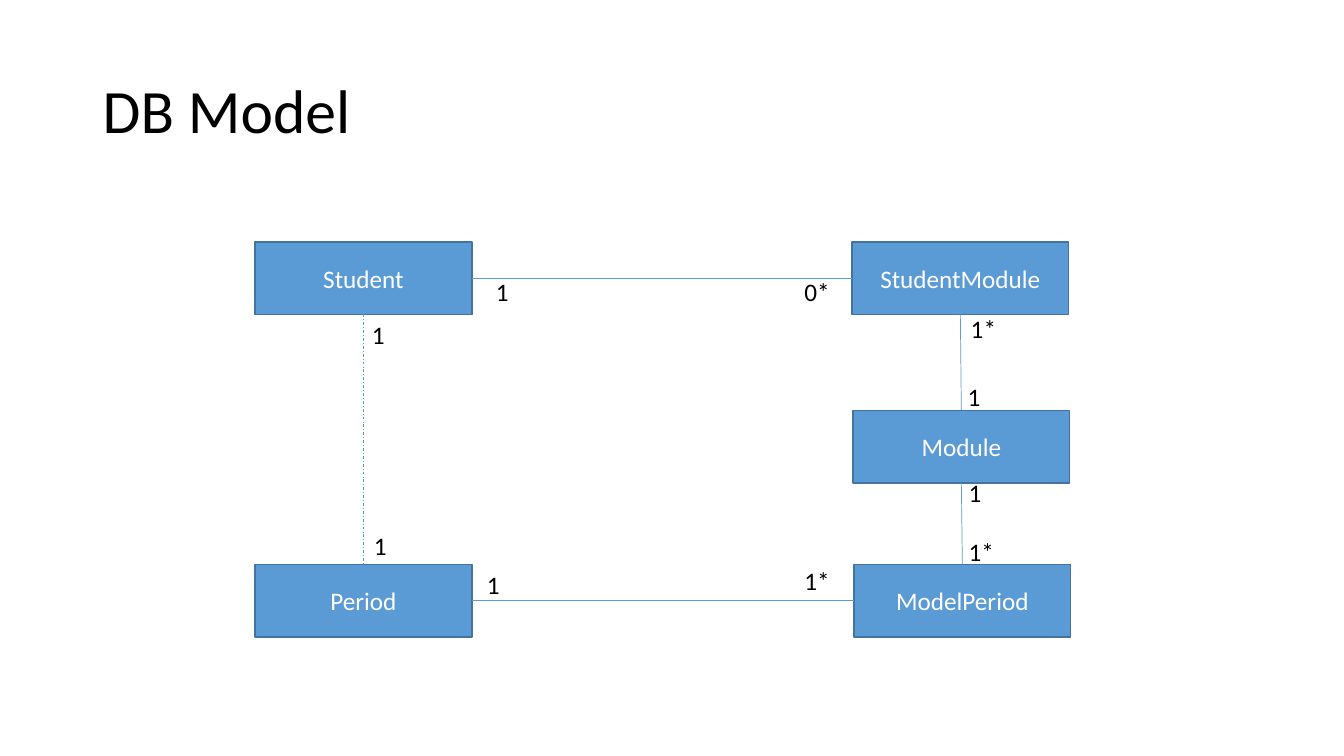
from pptx import Presentation
from pptx.dml.color import RGBColor as RGB
from pptx.enum.dml import MSO_LINE as Dash
from pptx.enum.shapes import MSO_CONNECTOR as Link, MSO_SHAPE as Shape
from pptx.enum.text import MSO_ANCHOR as Anchor, MSO_AUTO_SIZE as Auto, PP_ALIGN as Align
from pptx.oxml.ns import qn
from pptx.util import Emu, Pt

BLACK = RGB(0x00, 0x00, 0x00)
WHITE = RGB(0xFF, 0xFF, 0xFF)
BLUE = RGB(0x5B, 0x9B, 0xD5)
EDGE = RGB(0x43, 0x73, 0x9E)

FONT = "Calibri"
SCALE = 9144  # EMU in one px, 100 px to the inch
BOX_W, BOX_H = 215, 72
TOP, LEFT, BOTTOM, RIGHT = range(4)  # connection sites of a rectangle


def px(*sizes):
    return [Emu(size * SCALE) for size in sizes]


def write(frame, text, size=18, color=BLACK, align=Align.LEFT,
          anchor=Anchor.TOP, wrap=True, space=None):
    frame.word_wrap = wrap
    frame.vertical_anchor = anchor
    para = frame.paragraphs[0]
    para.alignment = align
    para.line_spacing = space
    run = para.add_run()
    run.text = text
    run.font.name = FONT
    run.font.size = Pt(size)
    run.font.color.rgb = color


class Board:
    def __init__(self, slide):
        self.shapes = slide.shapes

    def title(self, text, x, y, w, h):
        area = self.shapes.add_textbox(*px(x, y, w, h))
        write(area.text_frame, text, size=44, anchor=Anchor.MIDDLE, space=0.9)

    def box(self, text, x, y):
        rect = self.shapes.add_shape(Shape.RECTANGLE, *px(x, y, BOX_W, BOX_H))
        rect.shadow.inherit = False
        rect.fill.solid()
        rect.fill.fore_color.rgb = BLUE
        rect.line.color.rgb = EDGE
        rect.line.width = Pt(1)
        write(rect.text_frame, text, color=WHITE, align=Align.CENTER,
              anchor=Anchor.MIDDLE)
        return rect

    def link(self, start, exit, end, entry, dash=None):
        wire = self.shapes.add_connector(Link.STRAIGHT, 0, 0, 0, 0)
        wire.begin_connect(start, exit)
        wire.end_connect(end, entry)
        wire.line.color.rgb = BLUE
        wire.line.width = Pt(0.5)
        if dash:
            wire.line.dash_style = dash
        props = wire._element.spPr
        props.append(props.makeelement(qn("a:effectLst"), {}))

    def label(self, text, x, y):
        width = 33 if len(text) == 1 else 46
        area = self.shapes.add_textbox(*px(x, y, width, 40))
        write(area.text_frame, text, wrap=False)
        area.text_frame.auto_size = Auto.SHAPE_TO_FIT_TEXT


def main():
    deck = Presentation()
    deck.slide_width, deck.slide_height = px(1333, 750)
    board = Board(deck.slides.add_slide(deck.slide_layouts[6]))
    board.title("DB Model", 92, 40, 1150, 145)

    # Tables of the model
    student = board.box("Student", 253, 240)
    period = board.box("Period", 253, 560)
    pupil = board.box("StudentModule", 845, 240)
    module = board.box("Module", 846, 407)
    model = board.box("ModelPeriod", 847, 560)

    # Relations
    board.link(student, RIGHT, pupil, LEFT)
    board.link(period, RIGHT, model, LEFT)
    board.link(student, BOTTOM, period, TOP, dash=Dash.DASH_DOT)
    board.link(pupil, BOTTOM, module, TOP)
    board.link(module, BOTTOM, model, TOP)

    # Counts at both ends of each relation
    for text, x, y in (
        ("1", 482, 269), ("0*", 788, 269),
        ("1*", 953, 306), ("1", 950, 373),
        ("1", 951, 469), ("1*", 951, 527),
        ("1", 473, 560), ("1*", 788, 556),
        ("1", 359, 312), ("1", 361, 521),
    ):
        board.label(text, x, y)

    deck.save("out.pptx")


if __name__ == "__main__":
    main()
